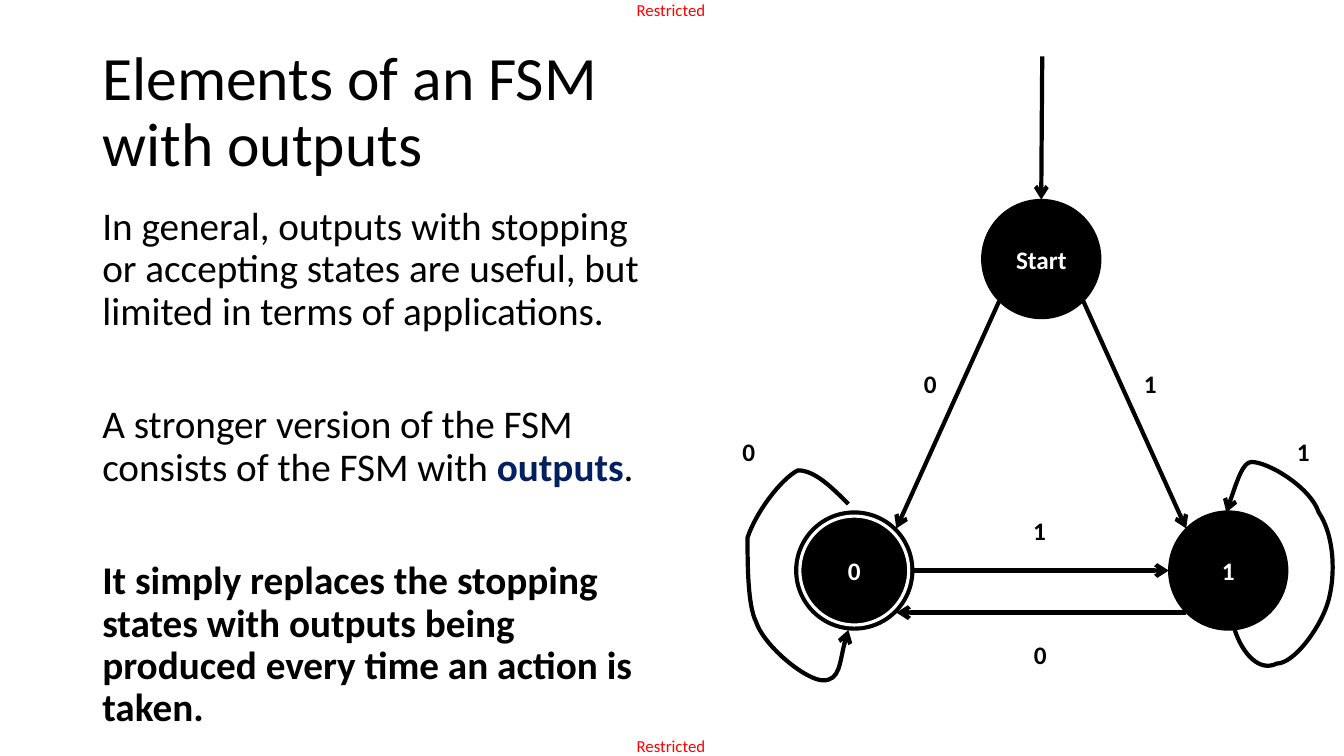
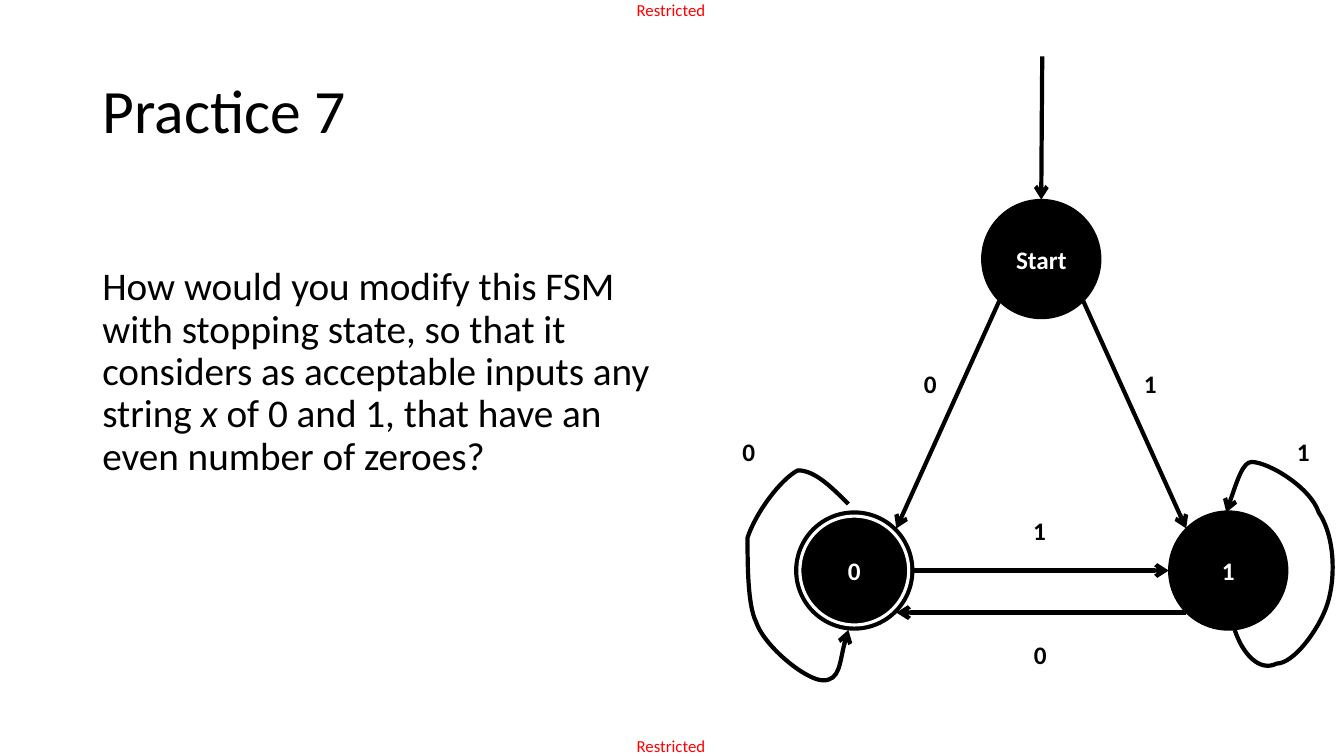
from dataclasses import dataclass
from math import cos, radians, sin
from typing import NamedTuple

from lxml import etree
from pptx import Presentation
from pptx.dml.color import RGBColor
from pptx.enum.shapes import MSO_CONNECTOR, MSO_SHAPE
from pptx.enum.text import MSO_ANCHOR, MSO_AUTO_SIZE, PP_ALIGN
from pptx.oxml.ns import qn
from pptx.util import Emu, Pt

ELLIPSE = MSO_SHAPE.OVAL
STRAIGHT = MSO_CONNECTOR.STRAIGHT
TOP, MIDDLE = MSO_ANCHOR.TOP, MSO_ANCHOR.MIDDLE
LEFT, CENTER = PP_ALIGN.LEFT, PP_ALIGN.CENTER
NO_AUTOFIT = MSO_AUTO_SIZE.NONE

# The slide is a grid of 160 columns by 90 rows of square cells.
CELL = 76200
COLUMNS, ROWS = 160, 90

FONT = "Calibri"
COLORS = {"ink": "000000", "paper": "FFFFFF", "accent": "002060", "notice": "FF0000"}
ARROW_WIDTH = 3
RADIUS, INNER_RADIUS = 7.08, 6.48
LABEL_SIZE = (4.2, 4.8)
LINE_SPACING = 0.9
PARAGRAPH_GAP = 51


class Point(NamedTuple):
    column: float
    row: float


class Box(NamedTuple):
    column: float
    row: float
    width: float
    height: float


@dataclass(frozen=True)
class TextRun:
    text: str
    size: float = 18
    color: str = "ink"
    bold: bool = False
    italic: bool = False


@dataclass(frozen=True)
class State:
    center: Point
    name: str
    accepting: bool = False

    def rim(self, angle: float) -> Point:
        """Point on the circle; the angle runs clockwise from the right, in degrees."""
        return Point(self.center.column + RADIUS * cos(radians(angle)),
                     self.center.row + RADIUS * sin(radians(angle)))


@dataclass(frozen=True)
class Label:
    text: str
    column: float
    row: float


@dataclass(frozen=True)
class Page:
    title: list[str]
    body_row: float
    body: list[list[TextRun]]


TITLE_BOX = Box(11, 4.8, 138, 17.4)
BODY_COLUMN, BODY_WIDTH = 11, 68
NOTICE_BOXES = [Box(75.8, row, 8.8, 2.4) for row in (0, 87.6)]

START = State(Point(123.96, 30.84), "Start")
ZERO = State(Point(101.7, 67.92), "0", accepting=True)
ONE = State(Point(146.22, 67.92), "1")
STATES = [START, ZERO, ONE]

ARROWS = [
    (Point(124.08, 6.72), START.rim(270)),
    (START.rim(45), ONE.rim(225)),
    (START.rim(135), ZERO.rim(315)),
    (ONE.rim(135), ZERO.rim(45)),
    (ZERO.rim(0), ONE.rim(180)),
]

LABELS = [
    Label("1", 135, 43.2), Label("0", 108.8, 43.2),
    Label("0", 121.9, 75.5), Label("1", 121.8, 60.8),
    Label("1", 153.2, 51.4), Label("0", 87.2, 51.4),
]

# Start point, then two control points and an end point for each curve.
ZERO_LOOP = [
    Point(100.6, 60.4),
    Point(98.9, 58.1), Point(97.2, 55.8), Point(95.3, 56.3),
    Point(93.4, 56.9), Point(90.4, 60.7), Point(89.4, 63.7),
    Point(88.6, 66.7), Point(88.7, 71.6), Point(90, 74.5),
    Point(91.4, 77.3), Point(96.1, 80.6), Point(97.9, 80.8),
    Point(99.7, 80.9), Point(100.4, 78.1), Point(101, 75.2),
]
LOOP_PIVOT = Point(123.66, 67.86)
ONE_LOOP = [Point(2 * LOOP_PIVOT.column - point.column, 2 * LOOP_PIVOT.row - point.row)
            for point in ZERO_LOOP]

PAGES = [
    Page(["Elements of an FSM", "with outputs"], 24, [
        [TextRun("In general, outputs with stopping or accepting states are useful, "
                 "but limited in terms of applications.", 28)],
        [TextRun("A stronger version of the FSM consists of the FSM with ", 28),
         TextRun("outputs", 28, "accent", bold=True),
         TextRun(".", 28)],
        [TextRun("It simply replaces the stopping states with outputs being produced "
                 "every time an action is taken.", 28, bold=True)],
    ]),
    Page(["Practice 7"], 31.2, [
        [TextRun("How would you modify this FSM with stopping state, so that it considers "
                 "as acceptable inputs any string ", 28),
         TextRun("x", 28, italic=True),
         TextRun(" of 0 and 1, that have an even number of zeroes?", 28)],
    ]),
]


def cells(count: float) -> Emu:
    return Emu(round(count * CELL))


def color(name: str) -> RGBColor:
    return RGBColor.from_string(COLORS[name])


def place(box: Box) -> list[Emu]:
    return [cells(length) for length in box]


def add_run(paragraph, item: TextRun) -> None:
    run = paragraph.add_run()
    run.text = item.text
    run.font.name = FONT
    run.font.size = Pt(item.size)
    run.font.bold = item.bold
    run.font.italic = item.italic
    run.font.color.rgb = color(item.color)


def add_text(slide, box: Box, paragraphs: list[list[TextRun]], gap: float = 0,
             line_spacing: float = 1.0, inset: bool = True) -> None:
    frame = slide.shapes.add_textbox(*place(box)).text_frame
    frame.word_wrap = True
    frame.vertical_anchor = TOP
    if not inset:
        frame.margin_left = frame.margin_right = frame.margin_top = frame.margin_bottom = 0
    for index, runs in enumerate(paragraphs):
        paragraph = frame.add_paragraph() if index else frame.paragraphs[0]
        paragraph.line_spacing = line_spacing
        if index:
            paragraph.space_before = Pt(gap)
        for item in runs:
            add_run(paragraph, item)


def set_title(slide, lines: list[str]) -> None:
    title = slide.shapes.title
    title.left, title.top, title.width, title.height = place(TITLE_BOX)
    frame = title.text_frame
    frame.auto_size = NO_AUTOFIT
    frame.word_wrap = True
    frame.vertical_anchor = MIDDLE
    paragraph = frame.paragraphs[0]
    paragraph.alignment = LEFT
    paragraph.line_spacing = LINE_SPACING
    for index, line in enumerate(lines):
        if index:
            paragraph.add_line_break()
        add_run(paragraph, TextRun(line, 44))


def style_arrow(shape) -> None:
    """Gives an open line its ink, width and arrowhead."""
    shape.line.color.rgb = color("ink")
    shape.line.width = Pt(ARROW_WIDTH)
    etree.SubElement(shape.line._get_or_add_ln(), qn("a:tailEnd"), type="arrow")


def add_arrow(slide, start: Point, end: Point) -> None:
    connector = slide.shapes.add_connector(STRAIGHT, *map(cells, start + end))
    style_arrow(connector)
    etree.SubElement(connector.element.spPr, qn("a:effectLst"))


def add_loop(slide, points: list[Point]) -> None:
    """Draws a curved arrow by turning each three line segments into one Bézier."""
    builder = slide.shapes.build_freeform(*points[0], scale=CELL)
    builder.add_line_segments(points[1:], close=False)
    loop = builder.convert_to_shape()
    outline = loop.element.find(".//" + qn("a:path"))
    segments = outline.findall(qn("a:lnTo"))
    for first in range(0, len(segments), 3):
        curve = etree.SubElement(outline, qn("a:cubicBezTo"))
        for segment in segments[first:first + 3]:
            curve.append(segment[0])
            outline.remove(segment)
    loop.fill.background()
    loop.shadow.inherit = False
    style_arrow(loop)


def add_circle(slide, center: Point, radius: float, line: str, width: float, name: str) -> None:
    box = Box(center.column - radius, center.row - radius, 2 * radius, 2 * radius)
    circle = slide.shapes.add_shape(ELLIPSE, *place(box))
    circle.shadow.inherit = False
    circle.fill.solid()
    circle.fill.fore_color.rgb = color("ink")
    circle.line.color.rgb = color(line)
    circle.line.width = Pt(width)
    if name:
        circle.text_frame.vertical_anchor = MIDDLE
        paragraph = circle.text_frame.paragraphs[0]
        paragraph.alignment = CENTER
        add_run(paragraph, TextRun(name, color="paper", bold=True))


def add_state(slide, state: State) -> None:
    add_circle(slide, state.center, RADIUS, "ink", 1, "" if state.accepting else state.name)
    if state.accepting:
        add_circle(slide, state.center, INNER_RADIUS, "paper", 2.25, state.name)


def add_state_machine(slide) -> None:
    for state in STATES:
        add_state(slide, state)
    for start, end in ARROWS:
        add_arrow(slide, start, end)
    for loop in (ZERO_LOOP, ONE_LOOP):
        add_loop(slide, loop)
    for label in LABELS:
        add_text(slide, Box(label.column, label.row, *LABEL_SIZE),
                 [[TextRun(label.text, bold=True)]])


def add_page(presentation, page: Page) -> None:
    slide = presentation.slides.add_slide(presentation.slide_layouts.get_by_name("Title Only"))
    for box in NOTICE_BOXES:
        add_text(slide, box, [[TextRun("Restricted", 12, "notice")]], inset=False)
    set_title(slide, page.title)
    body_box = Box(BODY_COLUMN, page.body_row, BODY_WIDTH, ROWS - page.body_row)
    add_text(slide, body_box, page.body, PARAGRAPH_GAP, LINE_SPACING)
    add_state_machine(slide)


def main() -> None:
    presentation = Presentation()
    presentation.slide_width = cells(COLUMNS)
    presentation.slide_height = cells(ROWS)
    for page in PAGES:
        add_page(presentation, page)
    presentation.save("out.pptx")


if __name__ == "__main__":
    main()
